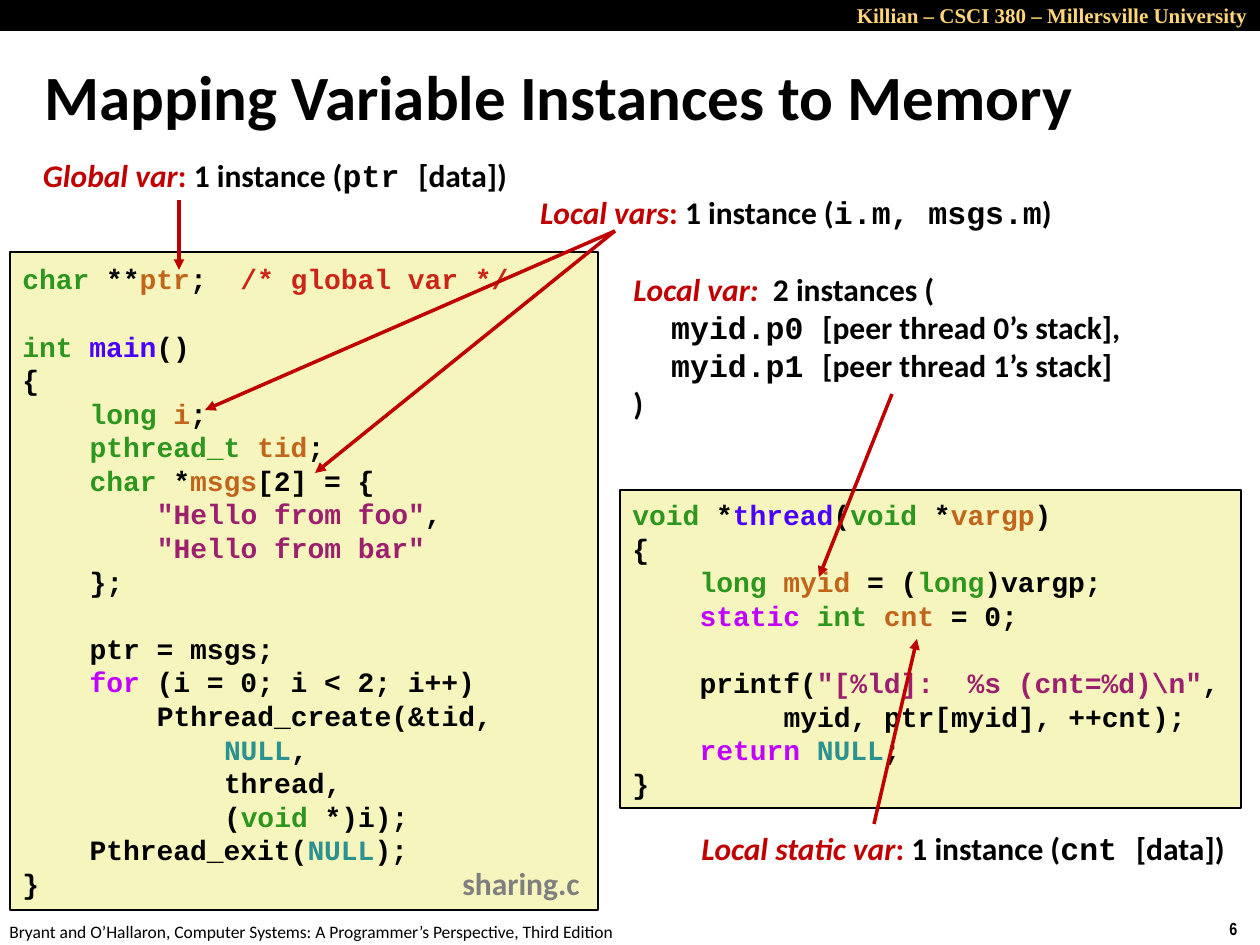
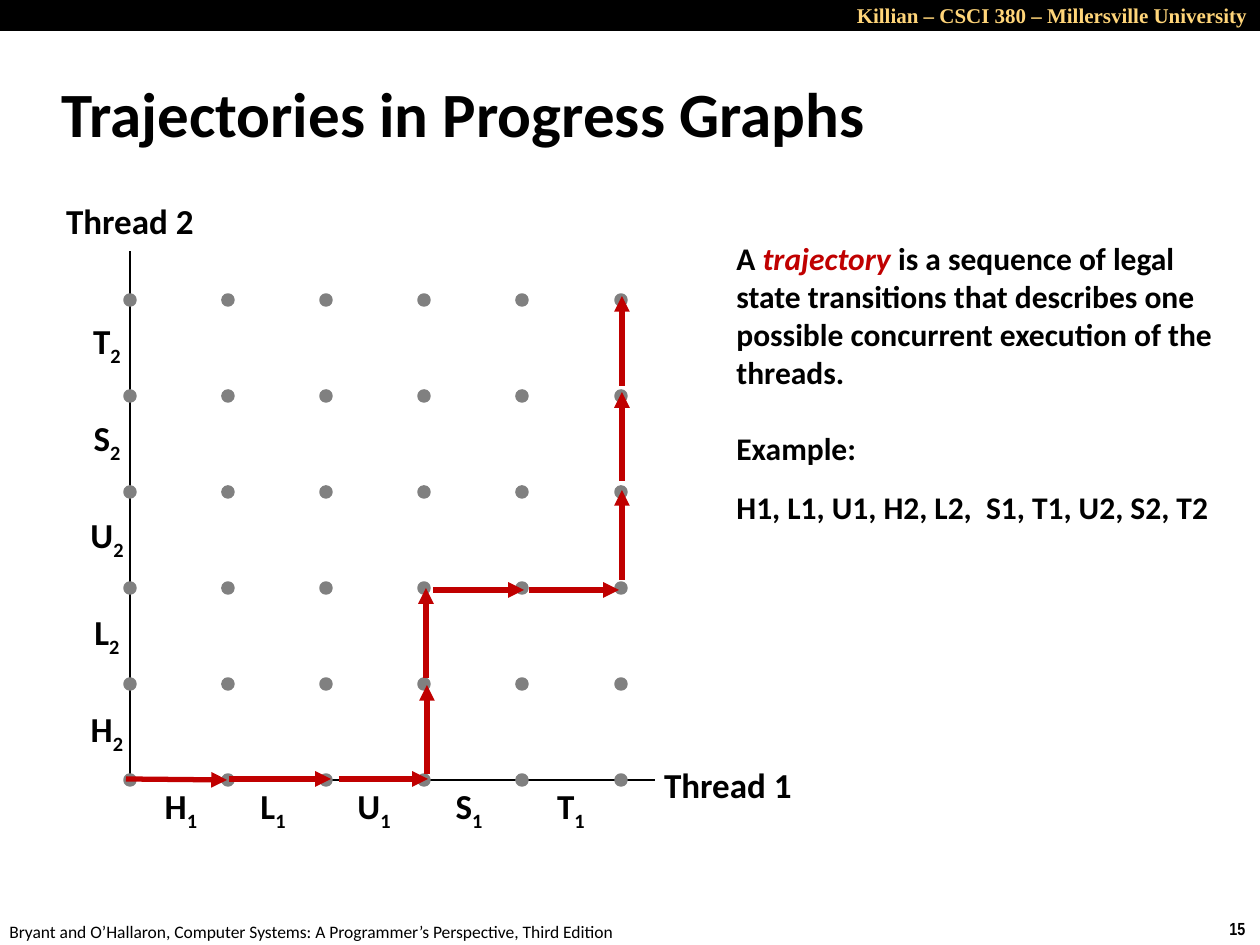
from lxml import etree
from pptx import Presentation
from pptx.dml.color import RGBColor
from pptx.enum.shapes import MSO_CONNECTOR, MSO_SHAPE
from pptx.enum.text import MSO_ANCHOR, PP_ALIGN
from pptx.oxml.ns import qn
from pptx.util import Inches, Pt

RECT, OVAL = MSO_SHAPE.RECTANGLE, MSO_SHAPE.OVAL
LINE = MSO_CONNECTOR.STRAIGHT
MID = MSO_ANCHOR.MIDDLE
LEFT, MIDDLE, RIGHT = PP_ALIGN.LEFT, PP_ALIGN.CENTER, PP_ALIGN.RIGHT

# Colours
BLACK = RGBColor(0x00, 0x00, 0x00)
RED = RGBColor(0xC0, 0x00, 0x00)
GOLD = RGBColor(0xFF, 0xD5, 0x79)
CREAM = RGBColor(0xF6, 0xF5, 0xBD)
GREY = RGBColor(0x80, 0x80, 0x80)
ASH = RGBColor(0x7F, 0x7F, 0x7F)
GREEN = RGBColor(0x2D, 0x96, 0x1E)
ORANGE = RGBColor(0xC1, 0x65, 0x1C)
RUST = RGBColor(0xCB, 0x24, 0x18)
BLUE = RGBColor(0x4A, 0x00, 0xFF)
PLUM = RGBColor(0x9D, 0x20, 0x6F)
VIOLET = RGBColor(0xC2, 0x00, 0xFF)
TEAL = RGBColor(0x2C, 0x92, 0x90)

# Fonts and sizes
SANS, MONO = "Calibri", "Courier New"
SERIF, NARROW = "Times New Roman", "Arial Narrow"
CODE_SIZE, CODE_LEAD = 16, 19.2
CHAR = 0.6  # width of one code letter, in ems

# Run marks: `Xtext` gives the text the look of mark X
MARKS = {
    "T": {"tint": GREEN},     # type
    "V": {"tint": ORANGE},    # variable
    "C": {"tint": RUST},      # comment
    "F": {"tint": BLUE},      # function
    "S": {"tint": PLUM},      # string
    "K": {"tint": VIOLET},    # keyword
    "N": {"tint": TEAL},      # constant
    "R": {"tint": RED},
    "I": {"tint": RED, "slant": True},
    "M": {"font": MONO},
    "_": {"sub": True},
}

MAIN_CODE = r"""`Tchar` **`Vptr`;  `C/* global var */`

`Tint ``Fmain`()
{
    `Tlong ``Vi`;
    `Tpthread_t ``Vtid`;
    `Tchar` *`Vmsgs`[2] = {
        `S"Hello from foo"`,
        `S"Hello from bar"`
    };

    ptr = msgs;
    `Kfor` (i = 0; i < 2; i++)
        Pthread_create(&tid,
            `NNULL`,
            thread,
            (`Tvoid` *)i);
    Pthread_exit(`NNULL`);
}"""

THREAD_CODE = r"""`Tvoid` *`Fthread`(`Tvoid` *`Vvargp`)
{
    `Tlong ``Vmyid` = (`Tlong`)vargp;
    `Kstatic ``Tint ``Vcnt` = 0;

    printf(`S"[%ld]:  %s (cnt=%d)\n"`,
         myid, ptr[myid], ++cnt);
    `Kreturn ``NNULL`;
}"""


def px(n):
    return Inches(n / 126)


class Deck:
    def __init__(self):
        self.prs = Presentation()
        self.prs.slide_width, self.prs.slide_height = px(1260), px(945)

    def page(self, num, title, box):
        """Start a slide with band, footer, number and title."""
        self.slide = self.prs.slides.add_slide(self.prs.slide_layouts[6])
        self.shapes = self.slide.shapes
        self.shape(RECT, (0, 0, 1260, 31), BLACK)
        self.text((567, -4, 693, 38),
                  ["Killian – CSCI 380 – Millersville University"],
                  12, font=SERIF, tint=GOLD, align=RIGHT)
        self.text((-3, 914, 640, 34),
                  ["Bryant and O’Hallaron, Computer Systems: "
                   "A Programmer’s Perspective, Third Edition"],
                  10, bold=False)
        self.text((1217, 911, 43, 34), [num], 10, font=NARROW)
        self.text(box, [title], 36, wrap=True)

    def shape(self, kind, box, fill, edge=None, width=1):
        shape = self.shapes.add_shape(kind, *map(px, box))
        shape.shadow.inherit = False
        shape.fill.solid()
        shape.fill.fore_color.rgb = fill
        if edge is None:
            shape.line.fill.background()
        else:
            shape.line.color.rgb = edge
            shape.line.width = Pt(width)
        return shape

    def text(self, box, lines, size, wrap=False, **look):
        area = self.shapes.add_textbox(*map(px, box))
        self.label(area, lines, size, wrap, **look)

    def label(self, shape, lines, size, wrap=False, align=LEFT, lead=None,
              **look):
        """Put text in a shape; a number among the lines is a gap in points."""
        frame = shape.text_frame
        frame.word_wrap = wrap
        frame.vertical_anchor = MID
        frame.margin_top = frame.margin_bottom = 0
        para, gap = frame.paragraphs[0], 0
        for line in lines:
            if not isinstance(line, str):
                gap = line
                continue
            if para is None:
                para = frame.add_paragraph()
            para.alignment = align
            para.space_before = Pt(gap)
            if lead:
                para.line_spacing = Pt(lead)
            body = line.lstrip()
            inset = (len(line) - len(body)) * CHAR * size
            if inset:
                props = para._p.get_or_add_pPr()
                props.set("marL", str(Pt(inset)))
                props.set("indent", "0")
            for k, part in enumerate(body.split("`")):
                if part and k % 2:
                    self.run(para, part[1:], size,
                             **{**look, **MARKS[part[0]]})
                elif part:
                    self.run(para, part, size, **look)
            para, gap = None, 0

    def run(self, para, words, size, font=SANS, tint=BLACK, bold=True,
            slant=False, sub=False):
        run = para.add_run()
        run.text = words
        run.font.name, run.font.size = font, Pt(size)
        run.font.bold, run.font.italic = bold, slant
        run.font.color.rgb = tint
        if sub:
            run._r.get_or_add_rPr().set("baseline", "-25000")

    def code(self, box, code):
        shape = self.shape(RECT, box, CREAM, BLACK)
        lines = [line or CODE_LEAD for line in code.splitlines()]
        self.label(shape, lines, CODE_SIZE, font=MONO, lead=CODE_LEAD)

    def line(self, ends, tint=BLACK, width=1, head=False):
        line = self.shapes.add_connector(LINE, *map(px, ends))
        line.line.color.rgb = tint
        line.line.width = Pt(width)
        props = line._element.spPr
        if head:
            etree.SubElement(props.find(qn("a:ln")), qn("a:tailEnd"),
                             type="triangle")
        etree.SubElement(props, qn("a:effectLst"))

    def arrow(self, ends, width):
        self.line(ends, RED, width, head=True)


def memory(deck):
    deck.page("6", "Mapping Variable Instances to Memory",
              (32, 42, 1228, 107))
    deck.code((10, 252, 588, 658), MAIN_CODE)
    deck.code((620, 490, 621, 318), THREAD_CODE)

    # Notes on each kind of variable
    for box, note in (
        ((28, 156, 494, 38),
         "`IGlobal var``R: `1 instance (`Mptr `[data])"),
        ((685, 829, 556, 38),
         "`ILocal static var``R: `1 instance (`Mcnt `[data])"),
        ((525, 193, 542, 38),
         "`ILocal vars``R: `1 instance (`Mi.m, msgs.m`)"),
    ):
        deck.text(box, [note], 18, align=MIDDLE)
    deck.text((621, 270, 533, 152),
              ["`ILocal var:  `2 instances (",
               "  `Mmyid.p0 `[peer thread 0’s stack],",
               "  `Mmyid.p1 `[peer thread 1’s stack]",
               ")"], 18)
    deck.text((450, 858, 144, 50), ["sharing.c"], 18, tint=ASH)

    # Arrows from notes to code
    for ends in ((179, 200, 179, 270), (874, 824, 917, 639),
                 (615, 231, 205, 410), (615, 231, 315, 473),
                 (892, 394, 819, 577)):
        deck.arrow(ends, 2)


def graph(deck):
    deck.page("15", "Trajectories in Progress Graphs", (49, 60, 1046, 105))
    deck.text((724, 232, 526, 301),
              ["A `Itrajectory` is a sequence of legal state transitions "
               "that describes one possible concurrent execution of the "
               "threads.",
               22, "Example:",
               12, "H1, L1, U1, H2, L2,  S1, T1, U2, S2, T2"],
              18, wrap=True)

    # Axes and their labels
    left, base = 130, 780
    deck.line((left, base, 655, base))
    deck.line((left, base, left, 251))
    deck.text((651, 757, 154, 55), ["Thread 1"], 20, align=MIDDLE)
    deck.text((53, 193, 154, 55), ["Thread 2"], 20, align=MIDDLE)
    for k, (step, mid) in enumerate(zip("HLUST", (181, 273, 374, 469, 571))):
        deck.text((mid - 30, 781, 60, 55), [step + "`_1`"], 20, align=MIDDLE)
        deck.text((77, 704 - 97 * k, 60, 55), [step + "`_2`"], 20,
                  align=MIDDLE)

    # Grid of states
    for col in range(6):
        for row in range(6):
            x, y = left + 491 * col // 5, base - 96 * row
            deck.shape(OVAL, (x - 5, y - 5, 10, 10), GREY, GREY, 2)

    # Trajectory
    for ends in ((126, 779, 227, 780), (229, 779, 331, 779),
                 (339, 779, 428, 779), (427, 774, 427, 685),
                 (426, 678, 426, 588), (433, 590, 524, 590),
                 (529, 590, 619, 590), (622, 580, 622, 490),
                 (622, 481, 622, 392), (622, 386, 622, 296)):
        deck.arrow(ends, 3)


def main():
    deck = Deck()
    memory(deck)
    graph(deck)
    deck.prs.save("out.pptx")


if __name__ == "__main__":
    main()
